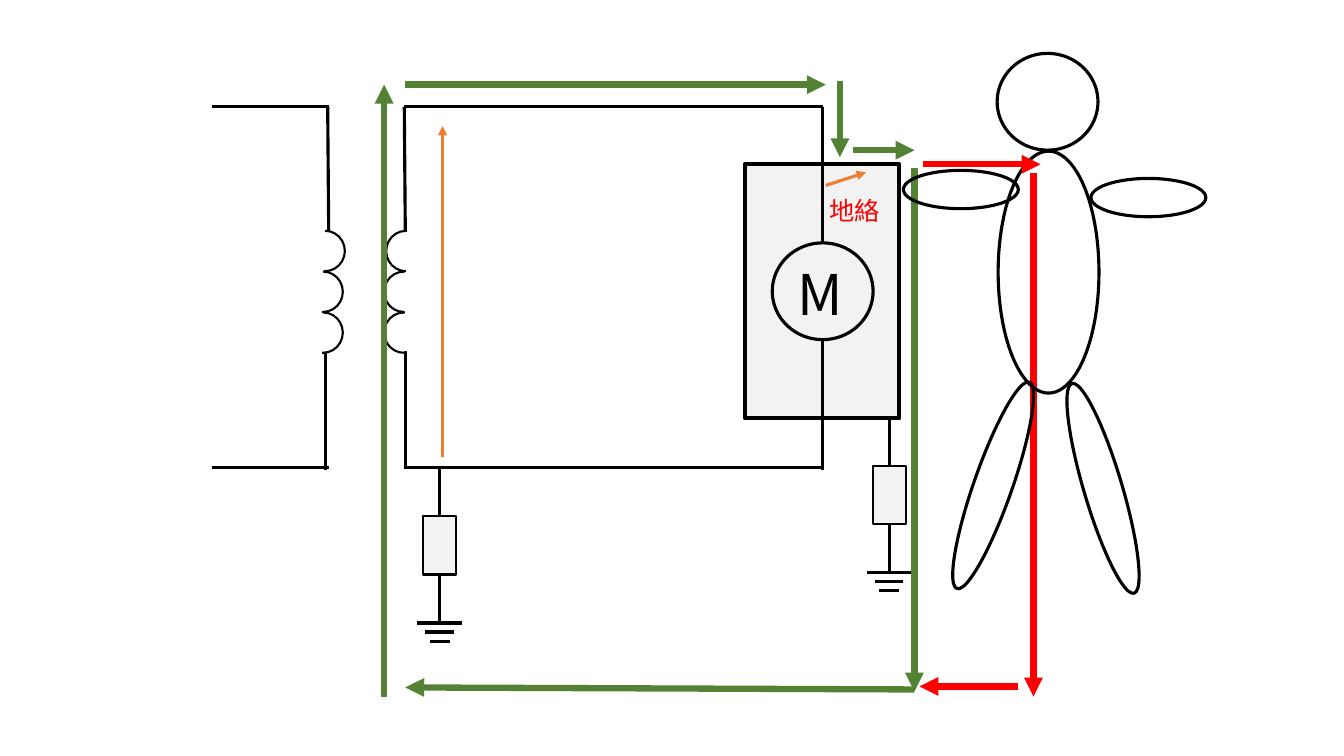
from dataclasses import dataclass

from lxml import etree
from pptx import Presentation
from pptx.dml.color import RGBColor
from pptx.enum.shapes import MSO_CONNECTOR, MSO_SHAPE
from pptx.enum.text import MSO_AUTO_SIZE
from pptx.oxml.ns import qn
from pptx.util import Inches, Pt

STRAIGHT = MSO_CONNECTOR.STRAIGHT
RECTANGLE = MSO_SHAPE.RECTANGLE
ELLIPSE = MSO_SHAPE.OVAL
ARC = MSO_SHAPE.ARC
FIT_SHAPE = MSO_AUTO_SIZE.SHAPE_TO_FIT_TEXT
TOP, BOTTOM = 0, 2


@dataclass(frozen=True)
class Theme:
    font: str = "Noto Sans CJK JP"
    ink: str = "000000"
    panel: str = "F2F2F2"
    voltage: str = "ED7D31"
    current: str = "548235"
    danger: str = "FF0000"
    thin: float = 1.5
    wire: float = 2.25
    frame: float = 3
    flow: float = 4.5
    symbol_size: int = 40
    label_size: int = 18


@dataclass(frozen=True)
class Box:
    left: float
    top: float
    width: float
    height: float

    @property
    def right(self):
        return self.left + self.width

    @property
    def bottom(self):
        return self.top + self.height

    @property
    def center(self):
        return self.left + self.width / 2

    def inner(self, dx, dy, width, height):
        return Box(self.left + dx, self.top + dy, width, height)


THEME = Theme()


def add_outline(page, kind, box, weight=THEME.wire, fill=None, rotation=0):
    shape = page.shapes.add_shape(
        kind, Inches(box.left), Inches(box.top), Inches(box.width), Inches(box.height))
    shape.shadow.inherit = False
    shape.rotation = rotation
    shape.line.color.rgb = RGBColor.from_string(THEME.ink)
    shape.line.width = Pt(weight)
    if fill:
        shape.fill.solid()
        shape.fill.fore_color.rgb = RGBColor.from_string(fill)
    else:
        shape.fill.background()
    return shape


def add_line(page, x1, y1, x2, y2, color=THEME.ink, weight=THEME.wire):
    line = page.shapes.add_connector(
        STRAIGHT, Inches(x1), Inches(y1), Inches(x2), Inches(y2))
    line.line.color.rgb = RGBColor.from_string(color)
    line.line.width = Pt(weight)
    etree.SubElement(line._element.spPr, qn("a:effectLst"))
    return line


def add_arrow(page, x1, y1, x2, y2, color, weight=THEME.flow):
    arrow = add_line(page, x1, y1, x2, y2, color, weight)
    outline = arrow._element.spPr.find(qn("a:ln"))
    etree.SubElement(outline, qn("a:tailEnd"), type="triangle")


def add_label(page, box, text, size, color):
    label = page.shapes.add_textbox(
        Inches(box.left), Inches(box.top), Inches(box.width), Inches(box.height))
    frame = label.text_frame
    frame.word_wrap = False
    frame.auto_size = FIT_SHAPE
    para = frame.paragraphs[0]
    para.text = text
    para.font.size = Pt(size)
    para.font.color.rgb = RGBColor.from_string(color)
    para.font.name = THEME.font
    defaults = para._p.pPr.find(qn("a:defRPr"))
    etree.SubElement(defaults, qn("a:ea"), typeface=THEME.font)


def draw_coil(page, box, rotation):
    """Stack three half turns; the top one sits slightly to the right."""
    for turn, shift in enumerate((0.02, 0, 0)):
        arc = add_outline(page, ARC, box.inner(shift, turn * 0.405, 0.39, 0.4),
                          THEME.thin, rotation=rotation)
        arc.adjustments[0] = 162
        arc.adjustments[1] = 55.656


def draw_circuit(page, box):
    """Transformer with the primary at the left and the loop to the motor at the right."""
    primary, secondary = box.left + 1.15, box.left + 1.91
    coil_top, coil_bottom = box.top + 1.23, box.top + 2.43
    draw_coil(page, box.inner(0.91, 1.23, 0.41, 1.21), 0)
    draw_coil(page, box.inner(1.71, 1.23, 0.41, 1.21), 180)
    for y in (box.top, box.bottom):
        add_line(page, box.left, y, primary + 0.01, y)
        add_line(page, secondary, y, box.right, y)
    add_line(page, primary, box.top, primary + 0.01, coil_top)
    add_line(page, primary - 0.02, coil_bottom, primary - 0.02, box.bottom + 0.02)
    add_line(page, secondary, box.top, secondary + 0.01, coil_top)
    add_line(page, secondary + 0.01, coil_bottom - 0.01, secondary + 0.01, box.bottom)
    add_line(page, box.right, box.top, box.right, box.top + 1.35)
    add_line(page, box.right, box.bottom - 1.27, box.right, box.bottom + 0.02)
    add_arrow(page, secondary + 0.38, box.bottom - 0.11, secondary + 0.38, box.top + 0.19,
              THEME.voltage, THEME.wire)


def draw_motor(page, box):
    add_outline(page, RECTANGLE, box, THEME.frame, THEME.panel)
    add_outline(page, ELLIPSE, box.inner(0.27, 0.78, 1, 0.96))
    add_label(page, box.inner(0.42, 0.9, 0.72, 0.77), "M", THEME.symbol_size, THEME.ink)


def draw_fault(page, box):
    add_arrow(page, box.left + 0.06, box.top + 0.13, box.left + 0.46, box.top,
              THEME.voltage, THEME.wire)
    add_label(page, box.inner(0, 0.18, 0.71, 0.4), "地絡", THEME.label_size, THEME.danger)


def draw_earth(page, box):
    """Lead, resistor and earth symbol hanging from the top of the box."""
    resistor = add_outline(page, RECTANGLE, box.inner(box.width / 2 - 0.165, 0.48, 0.33, 0.58),
                           THEME.thin, THEME.panel)
    upper = add_line(page, box.center, box.top, box.center, box.top + 0.48)
    upper.end_connect(resistor, TOP)
    lower = add_line(page, box.center, box.top + 1.06, box.center, box.top + 1.54)
    lower.begin_connect(resistor, BOTTOM)
    for drop, half in ((1.54, 0.22), (1.63, 0.14), (1.72, 0.1)):
        y = box.top + drop
        add_line(page, box.center + half, y, box.center - half, y)


def draw_person(page, box):
    parts = (
        (0.93, 0, 1, 0.96, 0),           # head
        (0.94, 0.97, 1, 2.4, 0),         # body
        (0.38, 0.78, 0.38, 1.14, 90),    # arm touching the motor
        (0.7, 3.2, 0.38, 2.17, 19.3),    # legs
        (1.79, 3.23, 0.38, 2.17, 343.5),
        (2.24, 0.86, 0.38, 1.14, 90),    # free arm
    )
    for *place, rotation in parts:
        add_outline(page, ELLIPSE, box.inner(*place), rotation=rotation)


def draw_flow(page, box, color, arrows):
    """Draw thick arrows whose ends are offsets from the box corner."""
    for x1, y1, x2, y2 in arrows:
        add_arrow(page, box.left + x1, box.top + y1, box.left + x2, box.top + y2, color)


EARTH_CURRENT = (
    (0.21, 0.04, 4.38, 0.04),
    (4.52, 0, 4.52, 0.76),
    (4.65, 0.69, 5.26, 0.69),
    (5.26, 0.87, 5.26, 6.06),
    (5.26, 6.04, 0.21, 6.02),
    (0, 6.11, 0, 0.04),
)
BODY_CURRENT = (
    (0.03, 0, 1.2, 0),
    (0.98, 5.18, 0, 5.18),
)
BODY_DESCENT = ((1.13, 0.09, 1.13, 5.28),)


def main():
    deck = Presentation()
    deck.slide_width, deck.slide_height = Inches(13.33), Inches(7.5)
    page = deck.slides.add_slide(deck.slide_layouts[6])
    body_flow = Box(9.12, 1.63, 1.2, 5.28)

    draw_motor(page, Box(7.39, 1.63, 1.53, 2.52))
    draw_circuit(page, Box(2.1, 1.06, 6.06, 3.58))
    draw_earth(page, Box(4.14, 4.64, 0.44, 1.72))
    draw_earth(page, Box(8.6, 4.14, 0.44, 1.72))
    draw_flow(page, Box(3.81, 0.8, 5.26, 6.11), THEME.current, EARTH_CURRENT)
    draw_fault(page, Box(8.13, 1.71, 0.71, 0.58))
    draw_flow(page, body_flow, THEME.danger, BODY_DESCENT)
    draw_person(page, Box(8.96, 0.53, 3, 5.4))
    draw_flow(page, body_flow, THEME.danger, BODY_CURRENT)
    deck.save("out.pptx")


if __name__ == "__main__":
    main()
